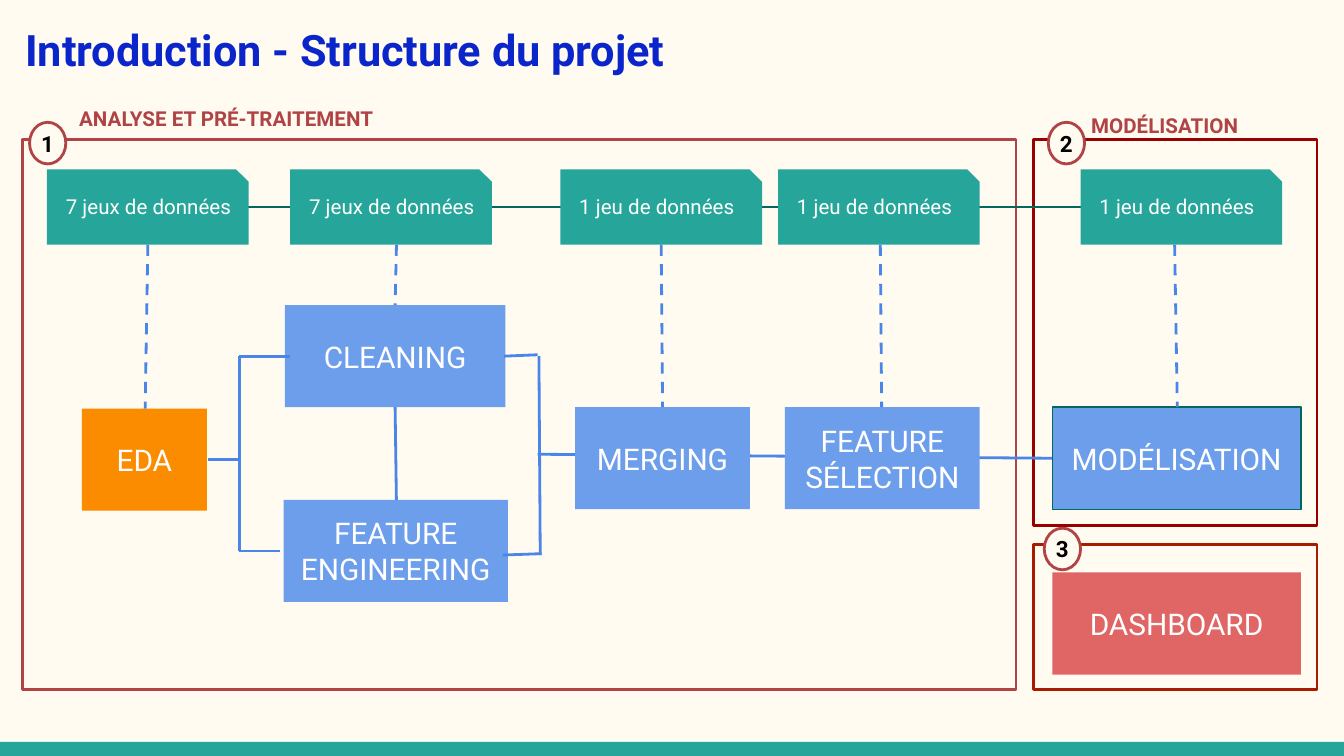
from dataclasses import dataclass
from typing import Optional

from lxml.etree import SubElement
from pptx import Presentation
from pptx.dml.color import RGBColor
from pptx.enum.dml import MSO_LINE
from pptx.enum.shapes import MSO_CONNECTOR, MSO_SHAPE
from pptx.enum.text import MSO_ANCHOR, PP_ALIGN
from pptx.oxml.ns import qn
from pptx.util import Inches, Pt


@dataclass(frozen=True)
class Theme:
    font: str = "Roboto"
    cream: str = "FFFBF0"
    teal: str = "26A69A"
    dark_teal: str = "00695C"
    title: str = "0A26CA"
    crimson: str = "AF4345"
    dark_red: str = "990000"
    rust: str = "A61C00"
    blue: str = "6D9EEB"
    link: str = "4A86E8"
    orange: str = "FB8C00"
    coral: str = "E06666"
    white: str = "FFFFFF"
    black: str = "000000"
    title_size: float = 23.2
    step_size: float = 16
    badge_size: float = 12
    small_size: float = 11
    thick: float = 1.5
    thin: float = 0.75


THEME = Theme()


@dataclass(frozen=True)
class Box:
    left: float
    top: float
    width: float
    height: float
    fill: Optional[str] = None
    line: Optional[str] = None
    weight: float = THEME.thick
    text: str = ""


@dataclass(frozen=True)
class Link:
    x1: float
    y1: float
    x2: float
    y2: float
    color: str = THEME.link
    weight: float = THEME.thick
    dashed: bool = False


@dataclass(frozen=True)
class Heading:
    left: float
    top: float
    width: float
    height: float
    text: str
    size: float
    color: str


SLIDE_WIDTH = Inches(10)
SLIDE_HEIGHT = SLIDE_WIDTH * 9 // 16
STEP_HEIGHT = 0.76
DATA_TOP, DATA_WIDTH, DATA_HEIGHT = 1.26, 1.5, 0.56
DATA_BOTTOM = DATA_TOP + DATA_HEIGHT

HEADINGS = [
    Heading(0.09, 0.07, 5.63, 0.63, "Introduction - Structure du projet",
            THEME.title_size, THEME.title),
    Heading(0.49, 0.7, 3.28, 0.39, "ANALYSE ET PRÉ-TRAITEMENT", THEME.small_size, THEME.crimson),
    Heading(8.02, 0.75, 1.41, 0.39, "MODÉLISATION", THEME.small_size, THEME.crimson),
]
FRAMES = [
    Box(0.17, 1.04, 7.39, 4.09, line=THEME.crimson),
    Box(7.69, 4.05, 2.11, 1.08, line=THEME.rust),
    Box(7.69, 1.04, 2.11, 2.87, line=THEME.dark_red),
]
BACK_LINKS = [
    Link(2.94, 3.03, 2.96, 4.47),
    Link(4, 3.38, 7.86, 3.41),
    Link(0.39, 1.54, 8.08, 1.54, THEME.dark_teal, THEME.thin),
]
DATASETS = [
    (0.35, "7 jeux de données"),
    (2.16, "7 jeux de données"),
    (4.17, "1 jeu de données"),
    (5.79, "1 jeu de données"),
    (8.04, "1 jeu de données"),
]
STEPS = [
    Box(0.61, 3.04, 0.93, STEP_HEIGHT, THEME.orange, text="EDA"),
    Box(2.12, 2.27, 1.64, STEP_HEIGHT, THEME.blue, text="CLEANING"),
    Box(2.11, 3.72, 1.67, STEP_HEIGHT, THEME.blue, text="FEATURE\nENGINEERING"),
    Box(4.28, 3.03, 1.3, STEP_HEIGHT, THEME.blue, text="MERGING"),
    Box(5.84, 3.03, 1.45, STEP_HEIGHT, THEME.blue, text="FEATURE\nSÉLECTION"),
    Box(7.83, 3.03, 1.85, STEP_HEIGHT, THEME.blue, THEME.dark_teal, THEME.thin, "MODÉLISATION"),
    Box(7.83, 4.26, 1.85, STEP_HEIGHT, THEME.coral, text="DASHBOARD"),
]
DATA_LINKS = [
    Link(top_x, DATA_BOTTOM, bottom_x, bottom_y, dashed=True)
    for top_x, bottom_x, bottom_y in [
        (1.1, 1.08, 3.04), (2.95, 2.94, 2.27), (4.92, 4.93, 3.03),
        (6.55, 6.56, 3.03), (8.74, 8.76, 3.03),
    ]
]
BRACKET_LINKS = [
    Link(1.78, 2.65, 1.78, 4.1),
    Link(1.55, 3.42, 1.78, 3.42),
    Link(1.78, 2.65, 2.16, 2.65),
    Link(1.78, 4.1, 2.08, 4.1),
    Link(4.01, 2.65, 4.02, 4.13),
    Link(3.75, 2.65, 4, 2.64),
    Link(3.74, 4.13, 4.03, 4.12),
]
BADGES = [(0.22, 0.91), (7.8, 0.91), (7.77, 3.93)]


def rgb(color: str) -> RGBColor:
    return RGBColor.from_string(color)


def write_text(shape, text: str, size: float, color: str, bold: bool = False,
               align=PP_ALIGN.CENTER, anchor=MSO_ANCHOR.MIDDLE,
               insets=(0, 0, 0, 0), wrap: bool = True) -> None:
    frame = shape.text_frame
    frame.text = text
    frame.word_wrap = wrap
    frame.vertical_anchor = anchor
    frame.margin_left, frame.margin_top, frame.margin_right, frame.margin_bottom = map(Inches, insets)
    for paragraph in frame.paragraphs:
        paragraph.alignment = align
        paragraph.font.name = THEME.font
        paragraph.font.size = Pt(size)
        paragraph.font.bold = bold
        paragraph.font.color.rgb = rgb(color)


def add_box(slide, box: Box, preset=MSO_SHAPE.RECTANGLE):
    shape = slide.shapes.add_shape(
        preset, Inches(box.left), Inches(box.top), Inches(box.width), Inches(box.height))
    shape.shadow.inherit = False
    if box.fill:
        shape.fill.solid()
        shape.fill.fore_color.rgb = rgb(box.fill)
    else:
        shape.fill.background()
    if box.line:
        shape.line.color.rgb = rgb(box.line)
        shape.line.width = Pt(box.weight)
    else:
        shape.line.fill.background()
    if box.text:
        write_text(shape, box.text, THEME.step_size, THEME.white)
    return shape


def add_link(slide, link: Link) -> None:
    connector = slide.shapes.add_connector(
        MSO_CONNECTOR.STRAIGHT, Inches(link.x1), Inches(link.y1), Inches(link.x2), Inches(link.y2))
    connector.line.color.rgb = rgb(link.color)
    connector.line.width = Pt(link.weight)
    if link.dashed:
        connector.line.dash_style = MSO_LINE.DASH
    SubElement(connector._element.spPr, qn("a:effectLst"))


def add_dataset(slide, left: float, text: str) -> None:
    box = Box(left, DATA_TOP, DATA_WIDTH, DATA_HEIGHT, THEME.teal)
    shape = add_box(slide, box, MSO_SHAPE.SNIP_1_RECTANGLE)
    write_text(shape, text, THEME.small_size, THEME.white, align=PP_ALIGN.LEFT,
               insets=(0.14, 0, 0, 0.06))


def add_badge(slide, number: int, left: float, top: float) -> None:
    box = Box(left, top, 0.27, 0.31, THEME.cream, THEME.crimson)
    shape = add_box(slide, box, MSO_SHAPE.OVAL)
    write_text(shape, str(number), THEME.badge_size, THEME.black, bold=True, wrap=False)


def add_heading(slide, heading: Heading) -> None:
    shape = slide.shapes.add_textbox(
        Inches(heading.left), Inches(heading.top), Inches(heading.width), Inches(heading.height))
    write_text(shape, heading.text, heading.size, heading.color, bold=True,
               align=PP_ALIGN.LEFT, anchor=MSO_ANCHOR.TOP, insets=(0.1, 0.1, 0.1, 0.1))


def main() -> None:
    presentation = Presentation()
    presentation.slide_width, presentation.slide_height = SLIDE_WIDTH, SLIDE_HEIGHT
    slide = presentation.slides.add_slide(presentation.slide_layouts[6])
    slide.background.fill.solid()
    slide.background.fill.fore_color.rgb = rgb(THEME.cream)

    add_box(slide, Box(0, 5.52, 10, 0.11, THEME.teal))
    for frame in FRAMES:
        add_box(slide, frame)
    for link in BACK_LINKS:
        add_link(slide, link)
    for left, text in DATASETS:
        add_dataset(slide, left, text)
    for step in STEPS:
        add_box(slide, step)
    for link in DATA_LINKS + BRACKET_LINKS:
        add_link(slide, link)
    for number, (left, top) in enumerate(BADGES, start=1):
        add_badge(slide, number, left, top)
    for heading in HEADINGS:
        add_heading(slide, heading)
    presentation.save("out.pptx")


if __name__ == "__main__":
    main()
